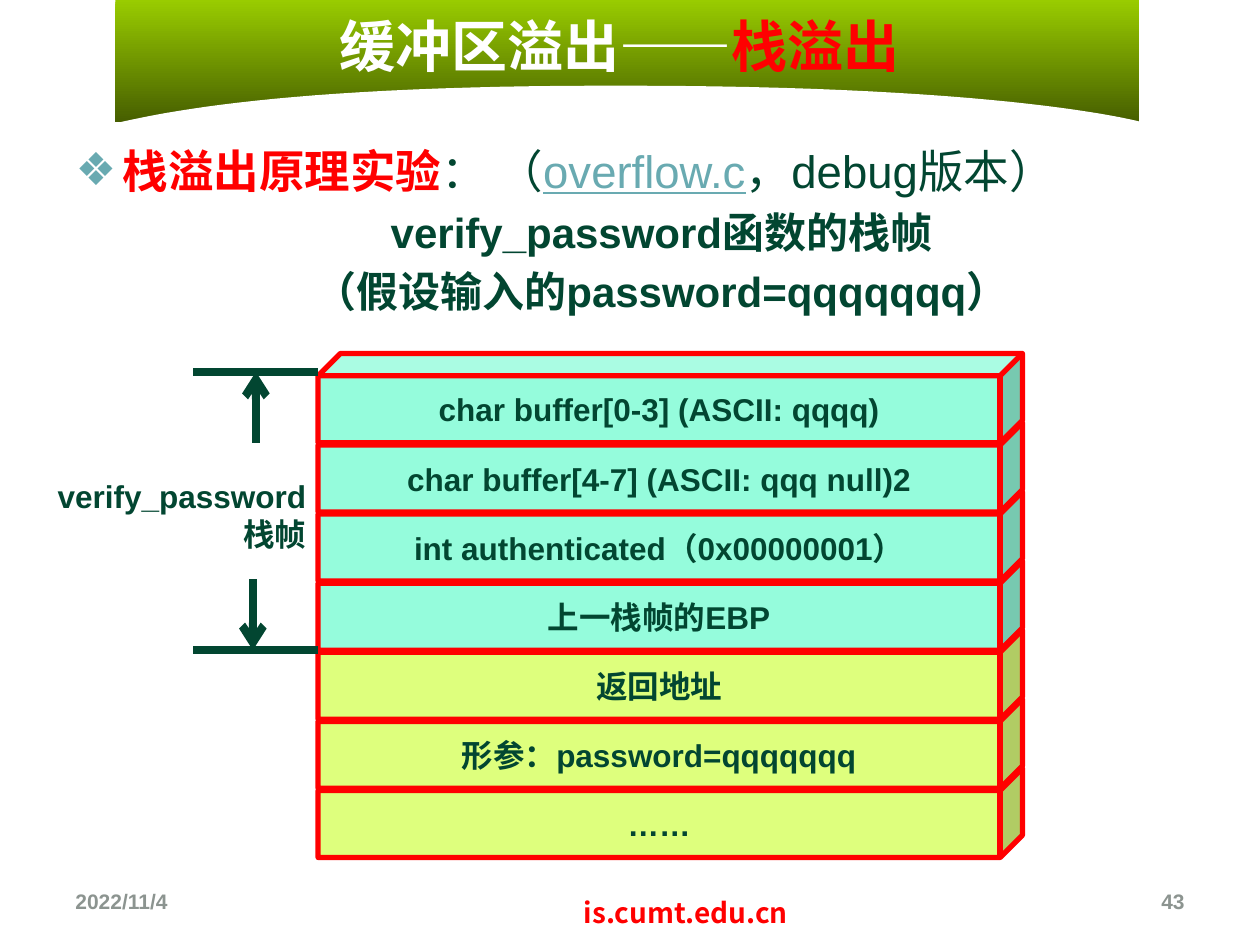
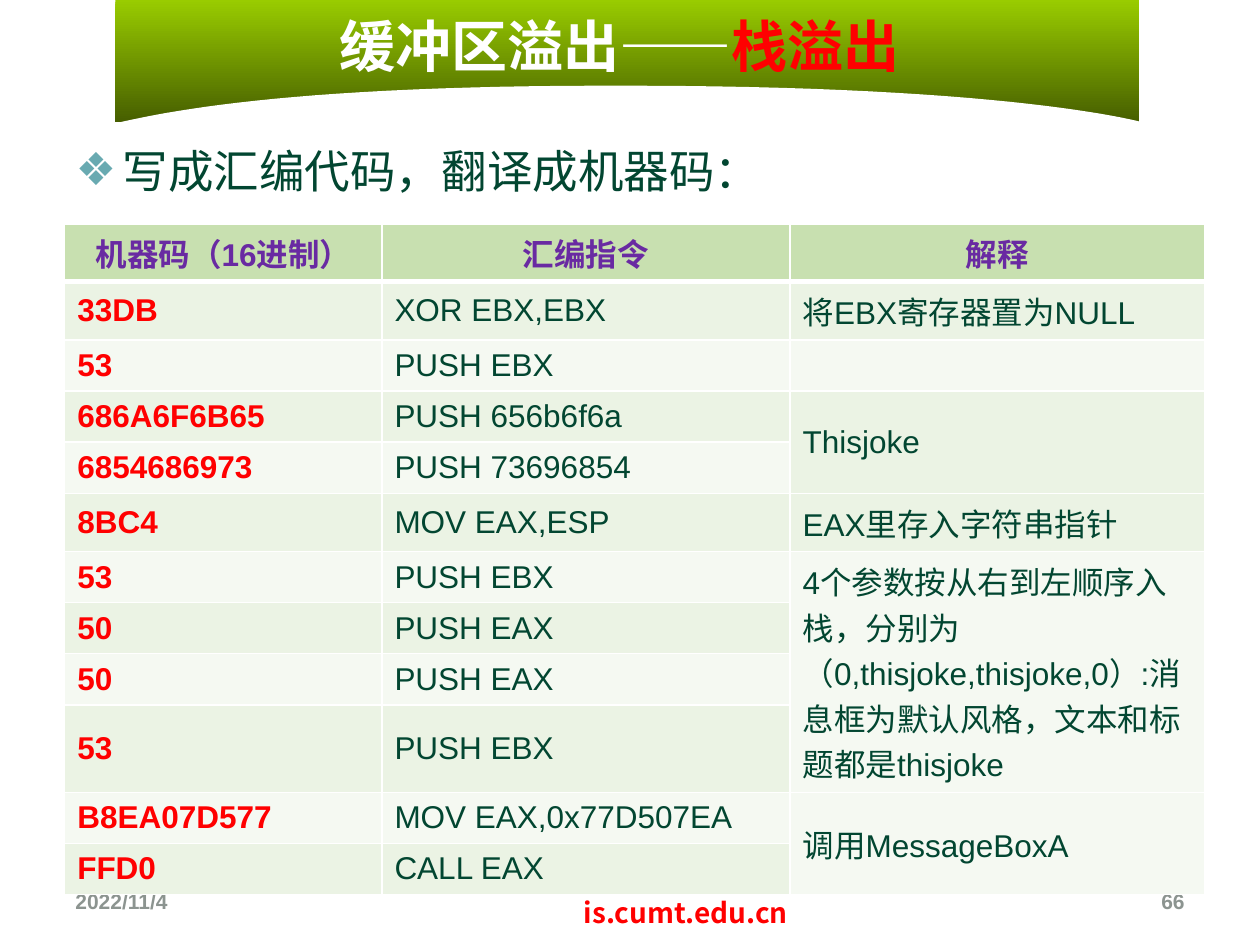
import pptx
import pptx.util
import pptx.dml.color
import pptx.enum.shapes
import pptx.enum.text
import pptx.oxml.ns
from lxml import etree

Pt = pptx.util.Pt
Shape = pptx.enum.shapes.MSO_SHAPE
Align = pptx.enum.text.PP_ALIGN
Anchor = pptx.enum.text.MSO_ANCHOR
qn = pptx.oxml.ns.qn

HAN = "Noto Sans CJK SC"
INK, RED, TEAL, WHITE = "024631", "FF0000", "69AAB1", "FFFFFF"
GREY, PLUM, MINT, LIME = "8C9490", "692AA2", "95FCDC", "DEFF7D"


def rgb(code):
    return pptx.dml.color.RGBColor.from_string(code)


def add(node, tag, **attrs):
    return etree.SubElement(node, qn(tag), **attrs)


def curve(a, b, c, d, steps=30):
    """Points along a cubic Bezier curve, in hundredths of its unit."""
    for i in range(steps + 1):
        t = i / steps
        u = 1 - t
        yield tuple(100 * (u**3 * p + 3 * u * u * t * q + 3 * u * t * t * r + t**3 * s)
                    for p, q, r, s in zip(a, b, c, d))


class Deck:
    def __init__(self):
        self.prs = pptx.Presentation()
        self.prs.slide_width, self.prs.slide_height = Pt(720), Pt(540)
        self.slide = None

    def style(self, para, size=18, color=INK, bold=True, name="Arial", align=None):
        if align is not None:
            para.alignment = align
        font = para.font
        font.size, font.bold, font.name = Pt(size), bold, name
        font.color.rgb = rgb(color)
        add(para._p.pPr.find(qn("a:defRPr")), "a:ea", typeface=HAN)

    def runs(self, para, parts):
        """Fill a paragraph with (text, font settings) pairs."""
        for text, look in parts:
            run = para.add_run()
            run.text = text
            for key, value in look.items():
                if key == "color":
                    run.font.color.rgb = rgb(value)
                else:
                    setattr(run.font, key, value)

    def place(self, shape, left, top, width, height):
        shape.left, shape.top = Pt(left), Pt(top)
        shape.width, shape.height = Pt(width), Pt(height)

    def page(self, number):
        self.slide = self.prs.slides.add_slide(self.prs.slide_layouts[1])
        self.band()
        title = self.slide.shapes.title
        self.place(title, 24, 3.5, 660, 44.5)
        title.text_frame.vertical_anchor = Anchor.MIDDLE
        para = title.text_frame.paragraphs[0]
        self.runs(para, [("缓冲区溢出——", {}), ("栈溢出", {"color": RED})])
        self.style(para, 32, WHITE, name=HAN, align=Align.CENTER)
        foot = dict(size=12, color=GREY, anchor=Anchor.MIDDLE)
        self.label("2022/11/4", 36, 500.5, 168, 28.5, **foot)
        self.label("is.cumt.edu.cn", 281, 508, 222, 27, size=16, color=RED,
                   name=HAN, align=Align.CENTER)
        self.label(number, 516, 500.5, 168, 28.5, align=Align.RIGHT, **foot)

    def band(self):
        shapes = self.slide.shapes
        bar = shapes.add_shape(Shape.RECTANGLE, Pt(66), 0, Pt(585), Pt(70))
        bar.fill.gradient()
        bar.fill.gradient_angle = 270
        for stop, color in zip(bar.fill.gradient_stops, ("99CC00", "465E00")):
            stop.color.rgb = rgb(color)
        right = curve((366.5, 49), (587, 49.5), (662, 71), (662, 73))
        left = curve((48, 75), (79, 67), (147, 48), (366.5, 49))
        dots = [*right, *left]
        path = shapes.build_freeform(*dots[0], scale=Pt(1) / 100)
        path.add_line_segments(dots[1:])
        arc = path.convert_to_shape()
        arc.fill.solid()
        arc.fill.fore_color.rgb = rgb(WHITE)
        for spot, shape in enumerate((bar, arc), 2):
            shape.line.fill.background()
            shape.shadow.inherit = False
            shapes._spTree.insert(spot, shape._element)

    def label(self, text, left, top, width, height, anchor=Anchor.TOP, **look):
        box = self.slide.shapes.add_textbox(Pt(left), Pt(top), Pt(width), Pt(height))
        frame = box.text_frame
        frame.word_wrap, frame.vertical_anchor = True, anchor
        frame.text = text
        self.style(frame.paragraphs[0], **look)

    def body(self, head, lines=()):
        """Write one bulleted head and the centred lines below it."""
        box = self.slide.placeholders[1]
        self.place(box, 36, 78, 648, 426)
        frame = box.text_frame
        para = frame.paragraphs[0]
        self.runs(para, head)
        ppr = para._p.get_or_add_pPr()
        ppr.set("marL", str(Pt(27)))
        ppr.set("indent", str(Pt(-27)))
        para.space_before = Pt(0)
        add(add(ppr, "a:buClr"), "a:srgbClr", val=TEAL)
        add(ppr, "a:buChar", char="❖")
        self.style(para, 26, bold=False)
        for line in lines:
            para = frame.add_paragraph()
            para.text, para.level = line, 1
            para.space_before = Pt(5.2)
            ppr = para._p.get_or_add_pPr()
            ppr.set("marL", str(Pt(36)))
            ppr.set("indent", "0")
            add(ppr, "a:buNone")
            self.style(para, 24, align=Align.CENTER)

    def cube(self, text, top, color):
        cube = self.slide.shapes.add_shape(
            Shape.CUBE, Pt(181.75), Pt(top), Pt(402.5), Pt(51))
        cube.shadow.inherit = False
        cube.fill.solid()
        cube.fill.fore_color.rgb = rgb(color)
        cube.line.color.rgb, cube.line.width = rgb(RED), Pt(3)
        frame = cube.text_frame
        frame.text, frame.vertical_anchor = text, Anchor.MIDDLE
        self.style(frame.paragraphs[0], align=Align.CENTER)

    def line(self, x1, y1, x2, y2, arrow=False):
        link = self.slide.shapes.add_connector(
            pptx.enum.shapes.MSO_CONNECTOR.STRAIGHT, Pt(x1), Pt(y1), Pt(x2), Pt(y2))
        link.line.color.rgb, link.line.width = rgb(INK), Pt(4.5)
        if arrow:
            add(link.line._get_or_add_ln(), "a:tailEnd", type="arrow")
        add(link._element.spPr, "a:effectLst")

    def cell(self, cell, text, fill, base=1, **look):
        """Fill one cell; base is the width of its lower border."""
        cell.fill.solid()
        cell.fill.fore_color.rgb = rgb(fill)
        cell.vertical_anchor = Anchor.MIDDLE
        cell.text = text
        self.style(cell.text_frame.paragraphs[0], **look)
        tcpr = cell._tc.get_or_add_tcPr()
        for spot, side in enumerate("LRTB"):
            edge = add(tcpr, "a:ln" + side, w=str(Pt(base if side == "B" else 1)))
            add(add(edge, "a:solidFill"), "a:srgbClr", val=WHITE)
            tcpr.insert(spot, edge)

    def table(self, heads, rows, widths, spans, tall):
        """Draw the table; spans lists (first, last) merged rows of the last
        column, tall maps a row to its height where it is not the usual one."""
        heights = [tall.get(i, 29.2) for i in range(len(rows) + 1)]
        grid = self.slide.shapes.add_table(
            len(heights), len(heads), Pt(37), Pt(128), Pt(sum(widths)),
            Pt(sum(heights))).table
        for col, width in zip(grid.columns, widths):
            col.width = Pt(width)
        for row, height in zip(grid.rows, heights):
            row.height = Pt(height)
        for j, head in enumerate(heads):
            self.cell(grid.cell(0, j), head, "C8E0B0", base=3, color=PLUM,
                      align=Align.CENTER)
        for i, row in enumerate(rows, 1):
            fill = "EBF3E4" if i % 2 else "F5F9F2"
            for j, text in enumerate(row):
                self.cell(grid.cell(i, j), text, fill, bold=j == 0,
                          color=INK if j else RED)
        last = len(heads) - 1
        for first, end in spans:
            grid.cell(first, last).merge(grid.cell(end, last))


def stack(deck):
    deck.page("43")
    deck.body([("栈溢出原理实验", {"color": RED, "bold": True}), ("： （", {}),
               ("overflow.c", {"color": TEAL, "underline": True}),
               ("，debug版本）", {})],
              ["verify_password函数的栈帧", "（假设输入的password=qqqqqqq）"])
    slots = ["char buffer[0-3] (ASCII: qqqq)", "char buffer[4-7] (ASCII: qqq null)2",
             "int authenticated（0x00000001）", "上一栈帧的EBP", "返回地址",
             "形参：password=qqqqqqq", "……"]
    for i, text in reversed(list(enumerate(slots))):
        deck.cube(text, 202 + 39.5 * i, MINT if i < 4 else LIME)
    high, low = 212.5, 371.5
    for y in (high, low):
        deck.line(110.5, y, 181.5, y)
    deck.line(146.25, high + 40.5, 146.25, high, arrow=True)
    deck.line(144.5, low - 40.5, 144.5, low, arrow=True)
    deck.label("verify_password栈帧", 20, 269, 162, 51, align=Align.RIGHT)


def code(deck):
    deck.page("66")
    deck.body([("写成汇编代码，翻译成机器码：", {})])
    rows = [
        ("33DB", "XOR EBX,EBX", "将EBX寄存器置为NULL"),
        ("53", "PUSH EBX", ""),
        ("686A6F6B65", "PUSH 656b6f6a", "Thisjoke"),
        ("6854686973", "PUSH 73696854", ""),
        ("8BC4", "MOV EAX,ESP", "EAX里存入字符串指针"),
        ("53", "PUSH EBX", "4个参数按从右到左顺序入栈，分别为"
         "（0,thisjoke,thisjoke,0）:消息框为默认风格，文本和标题都是thisjoke"),
        ("50", "PUSH EAX", ""),
        ("50", "PUSH EAX", ""),
        ("53", "PUSH EBX", ""),
        ("B8EA07D577", "MOV EAX,0x77D507EA", "调用MessageBoxA"),
        ("FFD0", "CALL EAX", ""),
    ]
    deck.table(("机器码（16进制）", "汇编指令", "解释"), rows,
               (181.25, 233.25, 237), [(3, 4), (6, 9), (10, 11)],
               {0: 33, 1: 33.3, 5: 33.3, 9: 50})


def main():
    deck = Deck()
    stack(deck)
    code(deck)
    deck.prs.save("out.pptx")


if __name__ == "__main__":
    main()
